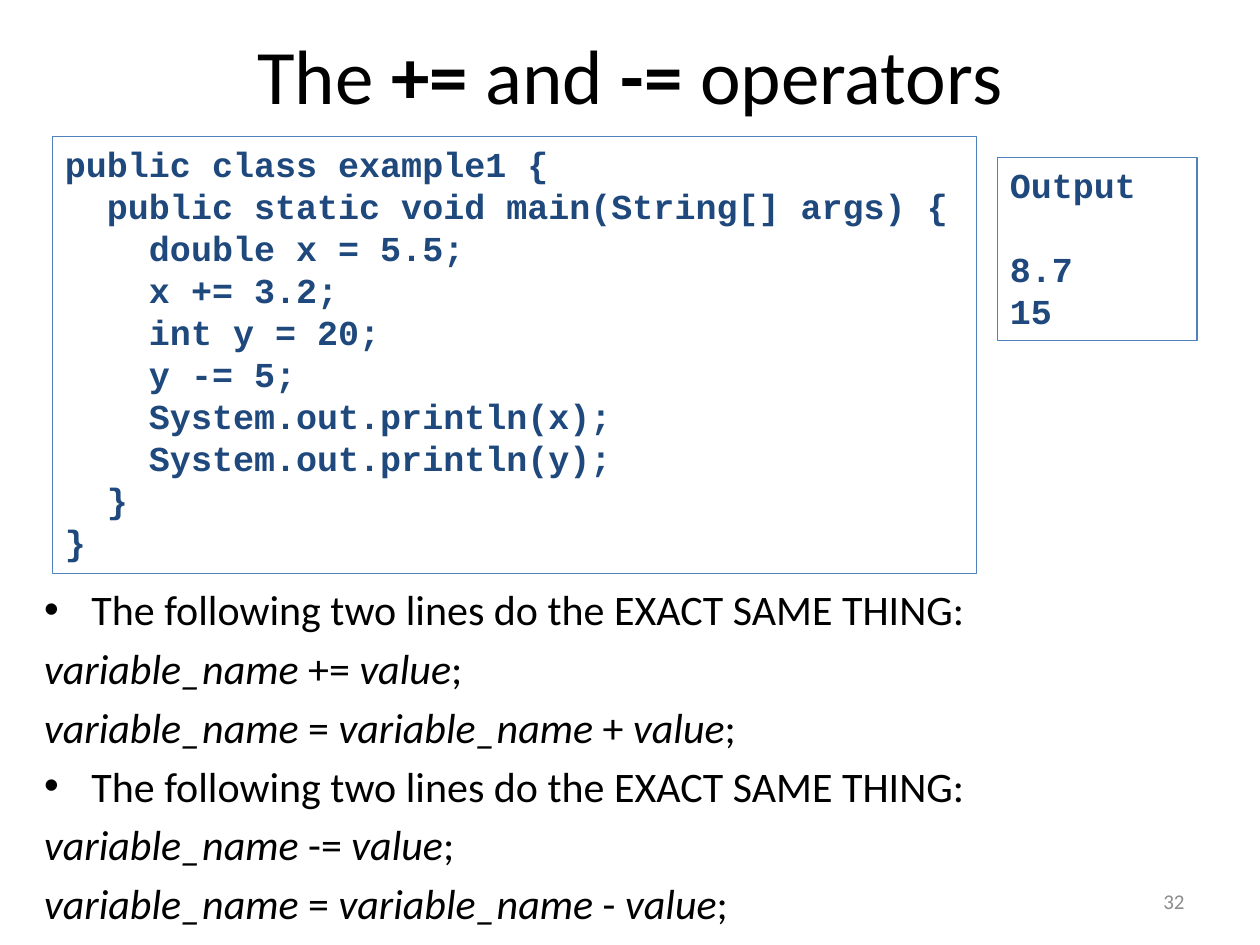
from dataclasses import dataclass

from lxml import etree
from pptx import Presentation
from pptx.dml.color import RGBColor
from pptx.enum.shapes import MSO_SHAPE
from pptx.enum.text import MSO_ANCHOR, MSO_AUTO_SIZE, PP_ALIGN
from pptx.oxml.ns import qn
from pptx.util import Inches, Pt

RECT = MSO_SHAPE.RECTANGLE
TOP, MIDDLE = MSO_ANCHOR.TOP, MSO_ANCHOR.MIDDLE
LEFT, CENTER, RIGHT = PP_ALIGN.LEFT, PP_ALIGN.CENTER, PP_ALIGN.RIGHT
FIXED, GROW = MSO_AUTO_SIZE.NONE, MSO_AUTO_SIZE.SHAPE_TO_FIT_TEXT
WIDTH, HEIGHT = Inches(10), Inches(7.5)
COLS, ROWS = 120, 90  # grid cells of 1/12 inch


@dataclass(frozen=True)
class Theme:
    ink: RGBColor = RGBColor.from_string("000000")
    code: RGBColor = RGBColor.from_string("1F497D")
    border: RGBColor = RGBColor.from_string("4F81BD")
    muted: RGBColor = RGBColor.from_string("8C8C8C")
    text_font: str = "Calibri"
    code_font: str = "Courier New"
    title_size: int = 44
    body_size: int = 24
    code_size: int = 20
    number_size: int = 12
    border_width: float = 0.75


@dataclass(frozen=True)
class Box:
    """A place on the slide, in grid columns and rows."""
    col: float
    row: float
    cols: float
    rows: float

    def lengths(self) -> tuple[int, int, int, int]:
        return (round(WIDTH * self.col / COLS), round(HEIGHT * self.row / ROWS),
                round(WIDTH * self.cols / COLS), round(HEIGHT * self.rows / ROWS))


@dataclass(frozen=True)
class Listing:
    box: Box
    lines: tuple[str, ...]
    gap_after_first: int = 0


THEME = Theme()
TITLE = "The *+=* and *-=* operators"
CLAIM = "The following two lines do the EXACT SAME THING:"
BODY = (
    CLAIM,
    "*variable_name *+= *value*;",
    "*variable_name *= *variable_name* + *value*;",
    CLAIM,
    "*variable_name *-= *value*;",
    "*variable_name *= *variable_name *- *value*;",
)
LISTINGS = (
    Listing(Box(5, 13, 88, 41.6), (
        "public class example1 {",
        "  public static void main(String[] args) {",
        "    double x = 5.5;",
        "    x += 3.2;",
        "    int y = 20;",
        "    y -= 5;",
        "    System.out.println(x);",
        "    System.out.println(y);",
        "  }",
        "}",
    )),
    Listing(Box(95, 15, 19, 17.4), ("Output", "8.7", "15"), gap_after_first=24),
)


def place(shape, box: Box) -> None:
    shape.left, shape.top, shape.width, shape.height = box.lengths()


def style(r, font: str, size: int, color: RGBColor) -> None:
    r.font.name, r.font.size = font, Pt(size)
    r.font.color.rgb = color


def add_marked_runs(p, text: str, size: int, emphasis: str) -> None:
    """Split text at asterisks; every second part gets the emphasis."""
    for i, part in enumerate(text.split("*")):
        if part:
            r = p.add_run()
            r.text = part
            style(r, THEME.text_font, size, THEME.ink)
            setattr(r.font, emphasis, i % 2 == 1)


def remove_bullet(p) -> None:
    pPr = p._p.get_or_add_pPr()
    pPr.set("marL", "0")
    pPr.set("indent", "0")
    etree.SubElement(pPr, qn("a:buNone"))


def fill_title(sp) -> None:
    place(sp, Box(3, 1, 114, 12))
    tf = sp.text_frame
    tf.auto_size, tf.vertical_anchor = FIXED, MIDDLE
    p = tf.paragraphs[0]
    p.alignment = CENTER
    add_marked_runs(p, TITLE, THEME.title_size, "bold")


def fill_body(sp) -> None:
    place(sp, Box(3, 55, 115, 27))
    tf = sp.text_frame
    tf.auto_size, tf.vertical_anchor = FIXED, TOP
    for i, text in enumerate(BODY):
        p = tf.add_paragraph() if i else tf.paragraphs[0]
        if text != CLAIM:
            remove_bullet(p)
        add_marked_runs(p, text, THEME.body_size, "italic")


def add_listing(s, listing: Listing) -> None:
    sp = s.shapes.add_shape(RECT, *listing.box.lengths())
    sp.shadow.inherit = False
    sp.fill.background()
    sp.line.color.rgb = THEME.border
    sp.line.width = Pt(THEME.border_width)
    tf = sp.text_frame
    tf.word_wrap, tf.auto_size, tf.vertical_anchor = True, GROW, TOP
    tf.text = "\n".join(listing.lines)
    for p in tf.paragraphs:
        p.alignment = LEFT
        for r in p.runs:
            style(r, THEME.code_font, THEME.code_size, THEME.code)
            r.font.bold = True
    if listing.gap_after_first:
        tf.paragraphs[1].space_before = Pt(listing.gap_after_first)


def add_slide_number(s, number: int) -> None:
    tf = s.shapes.add_textbox(*Box(86, 83.4, 28, 4.8).lengths()).text_frame
    tf.word_wrap, tf.vertical_anchor = True, MIDDLE
    tf.text = str(number)
    p = tf.paragraphs[0]
    p.alignment = RIGHT
    style(p.runs[0], THEME.text_font, THEME.number_size, THEME.muted)


def main() -> None:
    prs = Presentation()
    prs.slide_width, prs.slide_height = WIDTH, HEIGHT
    s = prs.slides.add_slide(prs.slide_layouts[1])
    fill_title(s.shapes.title)
    fill_body(s.placeholders[1])
    add_slide_number(s, 32)
    for listing in LISTINGS:
        add_listing(s, listing)
    prs.save("out.pptx")


if __name__ == "__main__":
    main()
